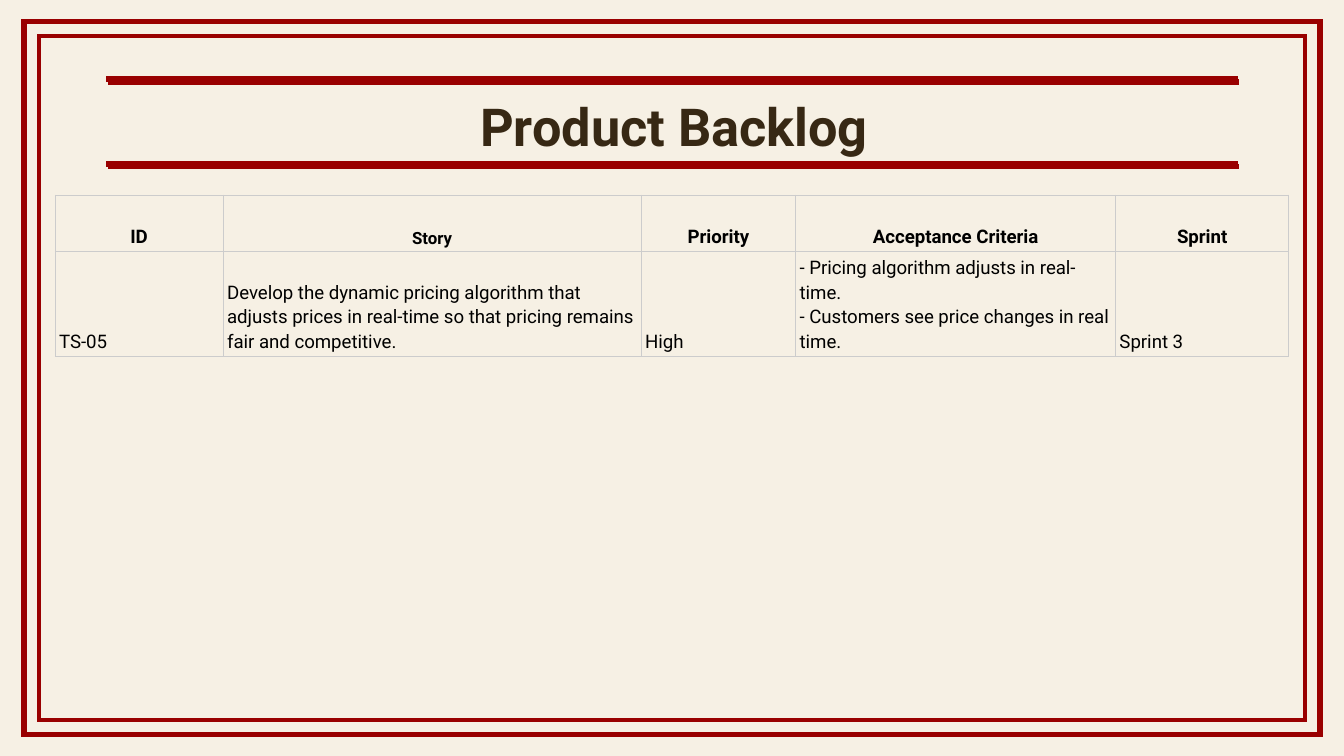
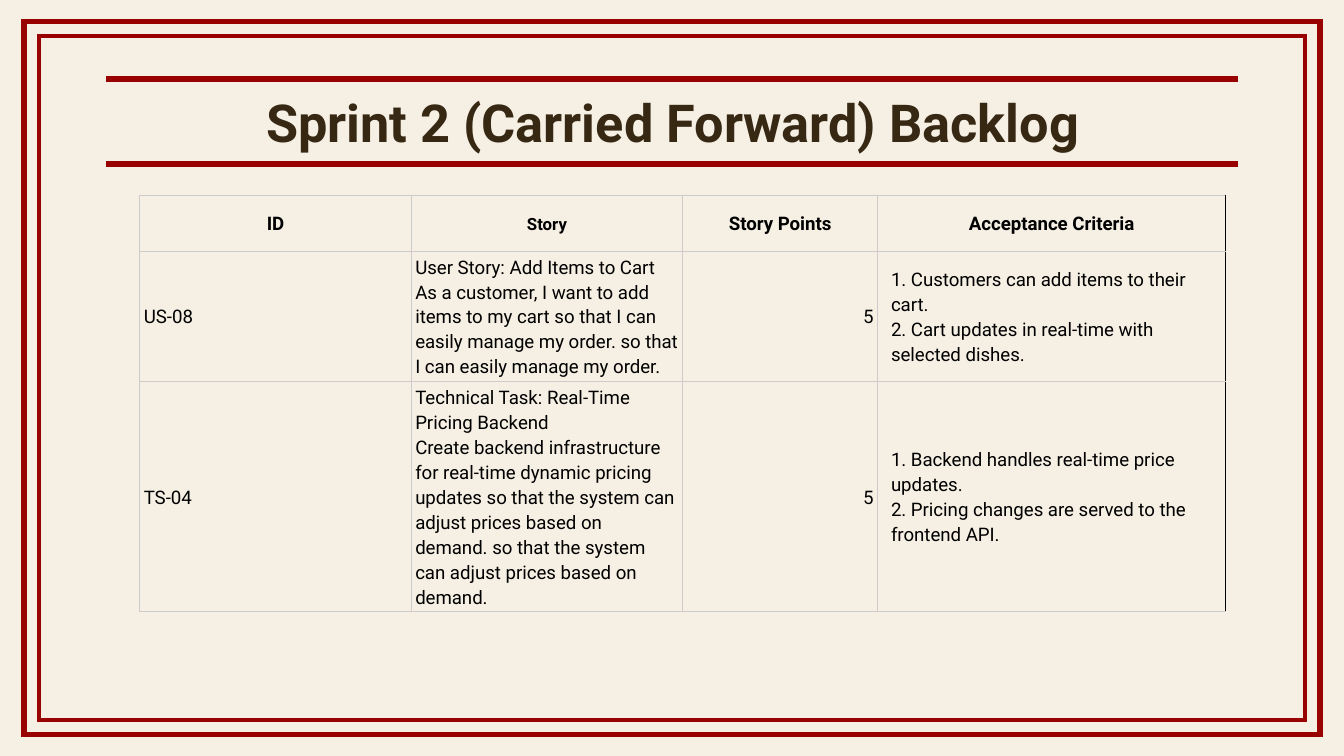
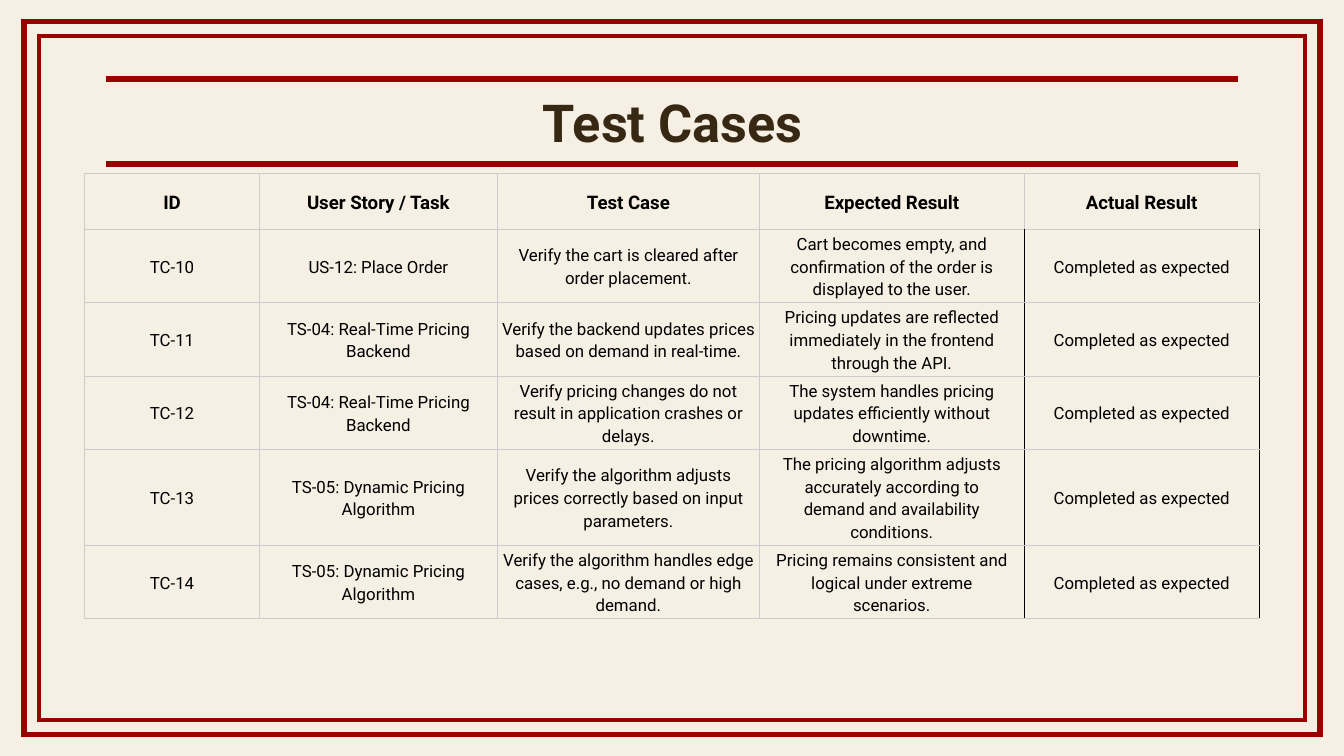
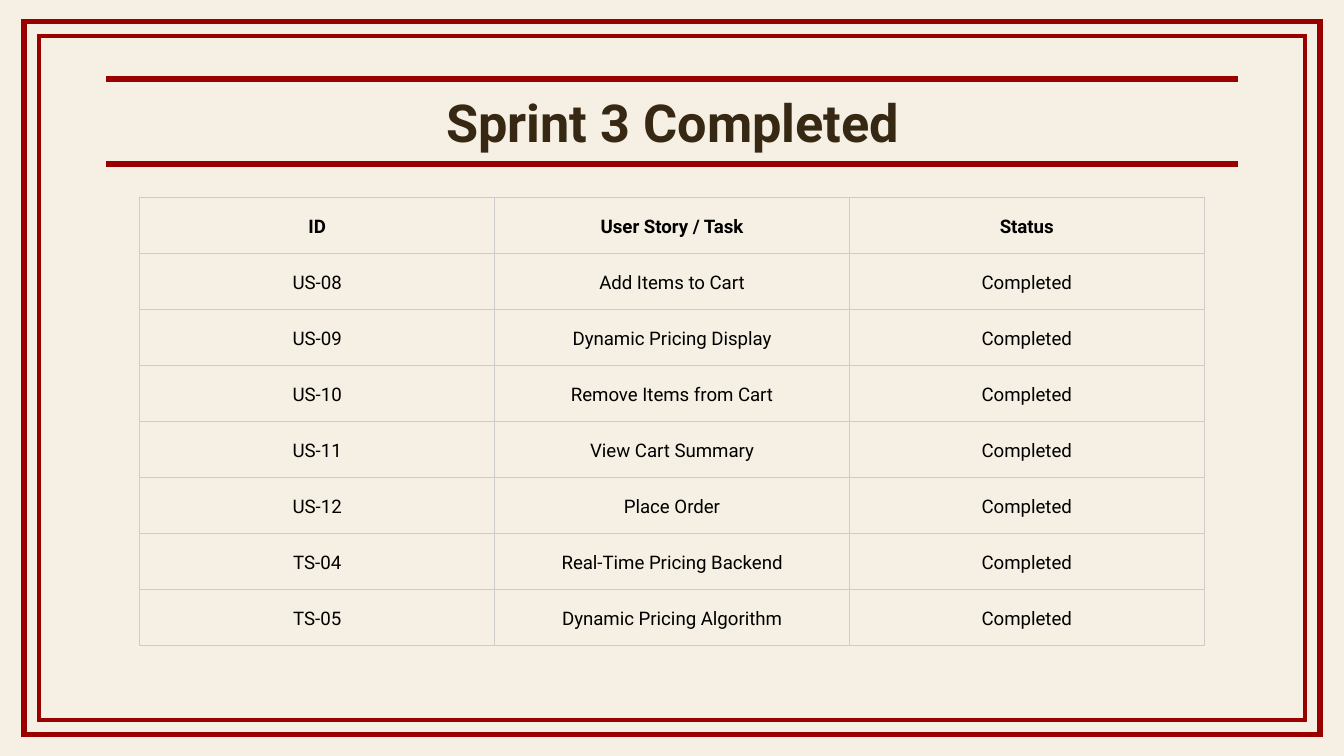
from lxml.etree import SubElement
from pptx import Presentation
from pptx.dml.color import RGBColor
from pptx.enum.shapes import MSO_CONNECTOR, MSO_SHAPE
from pptx.enum.text import MSO_ANCHOR, MSO_AUTO_SIZE, PP_ALIGN
from pptx.oxml.ns import qn
from pptx.util import Inches, Pt

# Shared look
WIDTH = 10
HEIGHT = WIDTH * 9 / 16
CREAM, RED, BROWN, BLACK, GREY = "F6F0E4", "990000", "372814", "000000", "CCCCCC"
FONT = "Roboto"
RULE_LEFT, RULE_RIGHT, RULE_TOP, RULE_BOTTOM = 0.79, 9.21, 0.59, 1.22
TITLE_WIDTH = 8.43
ROW_HEIGHT = 5 / 12
SIDE_INSET, WIDE_INSET, TOP_INSET = 0.03, 0.1, 0.02
BORDER = 0.42
LEFT, CENTER, RIGHT = PP_ALIGN.LEFT, PP_ALIGN.CENTER, PP_ALIGN.RIGHT


def color(hex_value):
    return RGBColor.from_string(hex_value)


def style_line(shape, width):
    shape.line.color.rgb = color(RED)
    shape.line.width = Pt(width)


def style_paragraph(p, size, bold, ink, align):
    p.alignment = align
    for r in p.runs:
        font = r.font
        font.name, font.size, font.bold = FONT, Pt(size), bold
        font.color.rgb = color(ink)


# Layout: background and double frame
def add_frame(s, layout, inset_x, inset_y, width):
    sp = s.shapes.add_shape(MSO_SHAPE.RECTANGLE, Inches(inset_x), Inches(inset_y),
                            Inches(WIDTH - 2 * inset_x), Inches(HEIGHT - 2 * inset_y))
    sp.shadow.inherit = False
    sp.fill.background()
    style_line(sp, width)
    SubElement(sp.element.spPr.find(qn("a:ln")), qn("a:miter"), lim="800000")
    layout.shapes.element.append(sp.element)


def prepare_layout(prs, layout):
    fill = prs.slide_master.background.fill
    fill.solid()
    fill.fore_color.rgb = color(CREAM)
    for ph in list(layout.placeholders):
        if ph.placeholder_format.idx != 0:
            layout.shapes.element.remove(ph.element)


# Title between two rules
def add_rules(s, shift_x=0, shift_y=0):
    for y in (RULE_TOP, RULE_BOTTOM):
        line = s.shapes.add_connector(
            MSO_CONNECTOR.STRAIGHT, Inches(RULE_LEFT + shift_x), Inches(y + shift_y),
            Inches(RULE_RIGHT + shift_x), Inches(y + shift_y))
        style_line(line, 3)
        SubElement(line.element.spPr, qn("a:effectLst"))


def add_title(s, text, shift_x=0, shift_y=0):
    title = s.shapes.title
    title.left, title.top = Inches(RULE_LEFT + shift_x), Inches(RULE_TOP + shift_y)
    title.width, title.height = Inches(TITLE_WIDTH), Inches(RULE_BOTTOM - RULE_TOP)
    tf = title.text_frame
    tf.text = text
    tf.word_wrap, tf.auto_size = True, MSO_AUTO_SIZE.NONE
    tf.vertical_anchor = MSO_ANCHOR.MIDDLE
    tf.margin_left = tf.margin_right = tf.margin_top = tf.margin_bottom = Inches(0.1)
    style_paragraph(tf.paragraphs[0], 28, True, BROWN, CENTER)


# Tables
def set_borders(cell, dark_sides):
    tc_pr = cell._tc.get_or_add_tcPr()
    for side in "LRTB":
        ln = SubElement(tc_pr, qn(f"a:ln{side}"), w=str(Pt(BORDER)))
        fill = SubElement(ln, qn("a:solidFill"))
        SubElement(fill, qn("a:srgbClr"), val=BLACK if side in dark_sides else GREY)


def fill_cell(cell, text, size, bold, align, anchor, inset, dark_sides):
    set_borders(cell, dark_sides)
    cell.fill.background()
    cell.text = text
    cell.vertical_anchor = anchor
    cell.margin_left = cell.margin_right = Inches(inset)
    cell.margin_top = cell.margin_bottom = Inches(TOP_INSET)
    for p in cell.text_frame.paragraphs:
        p.line_spacing = 1.15
        style_paragraph(p, size, bold, BLACK, align)


def add_table(s, left, top, widths, rows, aligns, size=10, anchor=MSO_ANCHOR.MIDDLE,
              wide_col=None, dark_edges=None, special_from=0):
    """wide_col and dark_edges ({column: sides}) apply from row special_from down."""
    frame = s.shapes.add_table(len(rows), len(widths), Inches(left), Inches(top),
                               Inches(sum(widths)), Inches(ROW_HEIGHT * len(rows)))
    table = frame.table
    table.first_row = table.horz_banding = False
    for column, width in zip(table.columns, widths):
        column.width = Inches(width)
    for i, row in enumerate(rows):
        table.rows[i].height = Inches(ROW_HEIGHT)
        header, special = i == 0, i >= special_from
        for j, text in enumerate(row):
            header_size = 9 if text == "Story" else 10
            fill_cell(table.cell(i, j), text,
                      size=header_size if header else size,
                      bold=header,
                      align=CENTER if header else aligns[j],
                      anchor=anchor,
                      inset=WIDE_INSET if special and j == wide_col else SIDE_INSET,
                      dark_sides=(dark_edges or {}).get(j, "") if special else "")


# Contents
PRODUCT_BACKLOG = [
    ("ID", "Story", "Priority", "Acceptance Criteria", "Sprint"),
    ("TS-05",
     "Develop the dynamic pricing algorithm that adjusts prices in real-time "
     "so that pricing remains fair and competitive.",
     "High",
     "- Pricing algorithm adjusts in real-time.\n"
     "- Customers see price changes in real time.",
     "Sprint 3"),
]
CARRIED_FORWARD = [
    ("ID", "Story", "Story Points", "Acceptance Criteria"),
    ("US-08",
     "User Story: Add Items to Cart\n"
     "As a customer, I want to add items to my cart so that I can easily manage "
     "my order. so that I can easily manage my order.",
     "5",
     "1. Customers can add items to their cart.\n"
     "2. Cart updates in real-time with selected dishes."),
    ("TS-04",
     "Technical Task: Real-Time Pricing Backend\n"
     "Create backend infrastructure for real-time dynamic pricing updates so that "
     "the system can adjust prices based on demand. so that the system can adjust "
     "prices based on demand.",
     "5",
     "1. Backend handles real-time price updates.\n"
     "2. Pricing changes are served to the frontend API."),
]
BACKEND_TASK = "TS-04: Real-Time Pricing Backend"
ALGORITHM_TASK = "TS-05: Dynamic Pricing Algorithm"
TESTS = [
    ("TC-10", "US-12: Place Order",
     "Verify the cart is cleared after order placement.",
     "Cart becomes empty, and confirmation of the order is displayed to the user."),
    ("TC-11", BACKEND_TASK,
     "Verify the backend updates prices based on demand in real-time.",
     "Pricing updates are reflected immediately in the frontend through the API."),
    ("TC-12", BACKEND_TASK,
     "Verify pricing changes do not result in application crashes or delays.",
     "The system handles pricing updates efficiently without downtime."),
    ("TC-13", ALGORITHM_TASK,
     "Verify the algorithm adjusts prices correctly based on input parameters.",
     "The pricing algorithm adjusts accurately according to demand and "
     "availability conditions."),
    ("TC-14", ALGORITHM_TASK,
     "Verify the algorithm handles edge cases, e.g., no demand or high demand.",
     "Pricing remains consistent and logical under extreme scenarios."),
]
TEST_CASES = [("ID", "User Story / Task", "Test Case", "Expected Result", "Actual Result")]
TEST_CASES += [(*test, "Completed as expected") for test in TESTS]
DONE = [
    ("US-08", "Add Items to Cart"),
    ("US-09", "Dynamic Pricing Display"),
    ("US-10", "Remove Items from Cart"),
    ("US-11", "View Cart Summary"),
    ("US-12", "Place Order"),
    ("TS-04", "Real-Time Pricing Backend"),
    ("TS-05", "Dynamic Pricing Algorithm"),
]
COMPLETED = [("ID", "User Story / Task", "Status")]
COMPLETED += [(*item, "Completed") for item in DONE]


def main():
    prs = Presentation()
    prs.slide_width, prs.slide_height = Inches(WIDTH), Inches(HEIGHT)
    layout = prs.slide_layouts.get_by_name("Title Only")
    prepare_layout(prs, layout)

    # Product backlog, with a second, slightly shifted pair of rules
    s = prs.slides.add_slide(layout)
    add_frame(s, layout, 0.18, 0.16, 3)
    add_frame(s, layout, 0.29, 0.27, 2.25)
    add_rules(s)
    add_title(s, "Product Backlog", 0.01, 0.03)
    add_rules(s, 0.01, 0.02)
    add_table(s, 0.41, 1.45, [1.25, 3.11, 1.15, 2.38, 1.29], PRODUCT_BACKLOG,
              [LEFT] * 5, anchor=MSO_ANCHOR.BOTTOM)

    # Carried forward
    s = prs.slides.add_slide(layout)
    add_title(s, "Sprint 2 (Carried Forward) Backlog")
    add_rules(s)
    add_table(s, 1.04, 1.45, [2.02, 2.02, 1.45, 2.59], CARRIED_FORWARD,
              [LEFT, LEFT, RIGHT, LEFT], wide_col=3, dark_edges={3: "R"})

    # Test cases
    s = prs.slides.add_slide(layout)
    add_title(s, "Test Cases")
    add_rules(s)
    add_table(s, 0.63, 1.29, [1.3, 1.77, 1.95, 1.97, 1.75], TEST_CASES, [CENTER] * 5,
              size=9, wide_col=3, dark_edges={3: "R", 4: "LR"}, special_from=1)

    # Completed
    s = prs.slides.add_slide(layout)
    add_title(s, "Sprint 3 Completed")
    add_rules(s)
    add_table(s, 1.04, 1.47, [2.64] * 3, COMPLETED, [CENTER] * 3)

    prs.save("out.pptx")


if __name__ == "__main__":
    main()
